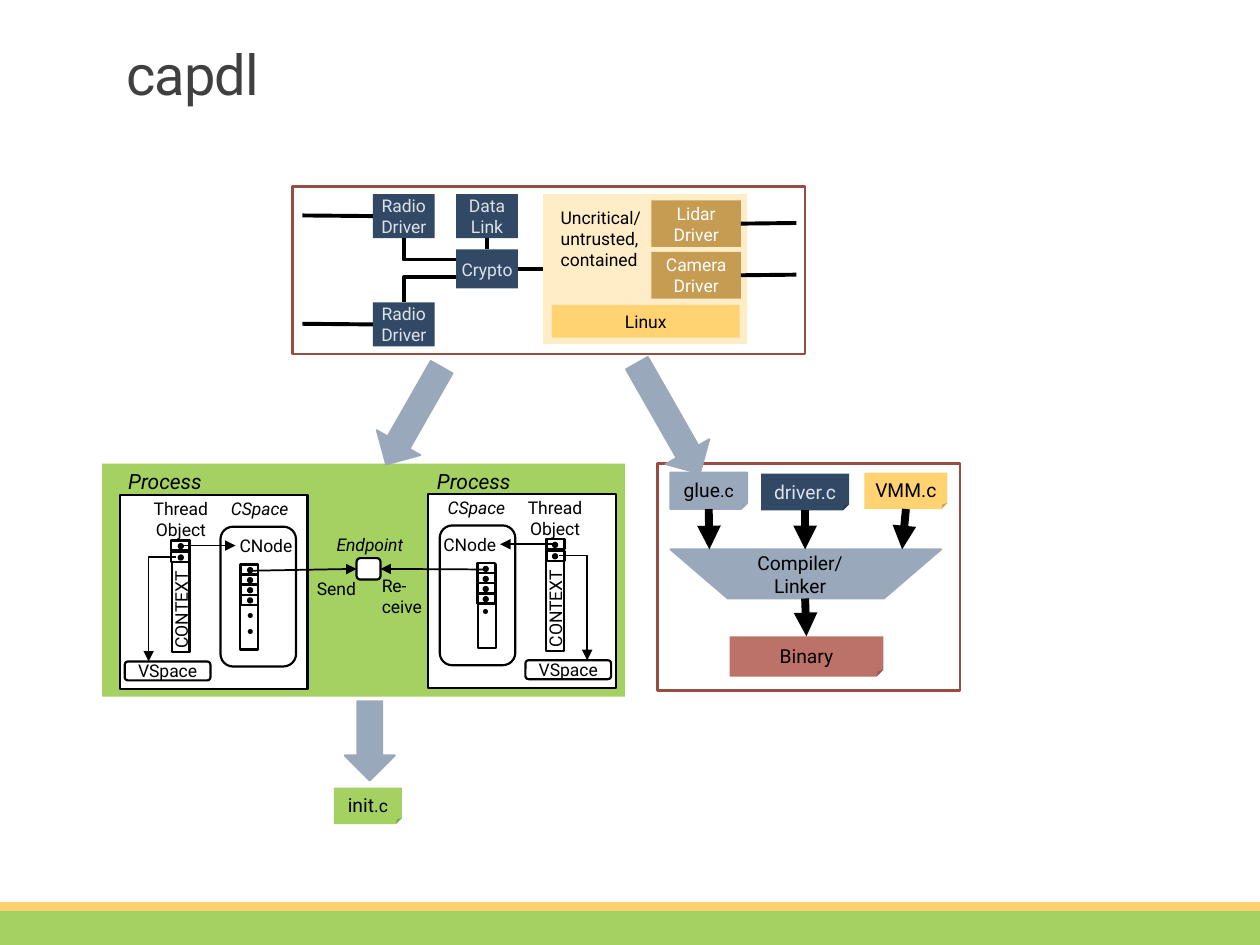
from lxml import etree
from pptx import Presentation
from pptx.dml.color import RGBColor
from pptx.enum.shapes import MSO_CONNECTOR, MSO_SHAPE
from pptx.enum.text import MSO_ANCHOR, MSO_AUTO_SIZE, PP_ALIGN
from pptx.oxml.ns import qn
from pptx.util import Inches, Pt

RECT, ROUND, NOTE = MSO_SHAPE.RECTANGLE, MSO_SHAPE.ROUNDED_RECTANGLE, MSO_SHAPE.FOLDED_CORNER
OVAL, TRAPEZOID = MSO_SHAPE.OVAL, MSO_SHAPE.TRAPEZOID
LEFT_ARROW, RIGHT_ARROW = MSO_SHAPE.LEFT_ARROW, MSO_SHAPE.RIGHT_ARROW
STRAIGHT, ELBOW = MSO_CONNECTOR.STRAIGHT, MSO_CONNECTOR.ELBOW
LEFT, CENTER, RIGHT = PP_ALIGN.LEFT, PP_ALIGN.CENTER, PP_ALIGN.RIGHT
TOP, MIDDLE = MSO_ANCHOR.TOP, MSO_ANCHOR.MIDDLE
SIDE_TOP, SIDE_LEFT, SIDE_BOTTOM, SIDE_RIGHT = range(4)
FONT = "Roboto"
MIRROR_SUM = 5.84
COLORS = {
    "black": "000000", "white": "FFFFFF", "title": "404040", "green": "A5D062",
    "bar": "FFD271", "yellow": "FFD372", "cream": "FFEDC7", "ochre": "C59C52",
    "navy": "324965", "pale": "DDE2E9", "steel": "9AA8BC", "brick": "BC7268",
    "frame": "964E43",
}
LABEL_INSETS = (0.06, 0.04, 0.06, 0.04)
NOTE_INSETS = (0, 0.04, 0, 0)
STRIP_INSETS = (0.03, 0.05, 0.1, 0.05)


def rgb(name):
    return RGBColor.from_string(COLORS[name])


def style_run(span, size, color, italic=False):
    span.font.name = FONT
    span.font.size = Pt(size)
    span.font.color.rgb = rgb(color)
    span.font.italic = italic


def put_text(box, text, size=10, color="black", align=CENTER, anchor=MIDDLE,
             insets=(0.1, 0.05, 0.1, 0.05), italic=False, wrap=True):
    frame = box.text_frame
    frame.text = text
    frame.word_wrap = wrap
    frame.vertical_anchor = anchor
    frame.margin_left, frame.margin_top, frame.margin_right, frame.margin_bottom = map(Inches, insets)
    for para in frame.paragraphs:
        para.alignment = align
        for span in para.runs:
            style_run(span, size, color, italic)


def add_box(page, kind, at, fill=None, line=None, width=1.25, rotation=0):
    box = page.shapes.add_shape(kind, *map(Inches, at))
    box.shadow.inherit = False
    box.rotation = rotation
    if fill:
        box.fill.solid()
        box.fill.fore_color.rgb = rgb(fill)
    else:
        box.fill.background()
    if line:
        box.line.color.rgb = rgb(line)
        box.line.width = Pt(width)
    else:
        box.line.fill.background()
    return box


def add_label(page, at, text, **style):
    box = page.shapes.add_textbox(*map(Inches, at))
    put_text(box, text, **{"insets": LABEL_INSETS, **style})


def add_link(page, start, end, width, arrow=False, kind=STRAIGHT, begin=None, finish=None):
    link = page.shapes.add_connector(kind, *map(Inches, (*start, *end)))
    link.line.color.rgb = rgb("black")
    link.line.width = Pt(width)
    properties = link._element.spPr
    if kind == ELBOW:
        properties.find(qn("a:prstGeom")).set("prst", "bentConnector2")
    if arrow:
        etree.SubElement(link.line._get_or_add_ln(), qn("a:tailEnd"), type="triangle")
    etree.SubElement(properties, qn("a:effectLst"))
    if begin:
        link.begin_connect(*begin)
    if finish:
        link.end_connect(*finish)


def add_component(page, at, text):
    box = add_box(page, RECT, at, "navy")
    put_text(box, text, color="pale", insets=(0.04, 0.02, 0.04, 0.02))
    return box


def add_note(page, at, text, fill, color="black", suffix="", line=None, insets=NOTE_INSETS):
    note = add_box(page, NOTE, at, fill, line, 1)
    put_text(note, text, size=11, color=color, insets=insets)
    if suffix:
        span = note.text_frame.paragraphs[0].add_run()
        span.text = suffix
        style_run(span, 10, color)
    return note


def add_block_arrow(page, kind, at, rotation):
    add_box(page, kind, at, "steel", "steel", 1, rotation)


def add_process(page, endpoint, mirrored):
    shift = -0.01 if mirrored else 0

    def point(x, y):
        return (MIRROR_SUM - x if mirrored else x), y + shift

    def place(x, y, width, height):
        return (MIRROR_SUM - x - width if mirrored else x), y + shift, width, height

    def outlined(kind, at, rotation=0):
        return add_box(page, kind, place(*at), "white", "black", rotation=rotation)

    def add_slots(x, y, count, pitch):
        for row in range(count):
            middle = y + row * pitch
            outlined(RECT, (x - 0.07, middle - 0.04, 0.14, 0.08))
            add_box(page, OVAL, place(x - 0.02, middle - 0.02, 0.05, 0.05), "black")

    outlined(RECT, (0.95, 3.93, 1.49, 1.54))
    context = outlined(RECT, (0.99, 4.66, 0.89, 0.14), 270)
    put_text(context, "CONTEXT", align=LEFT, insets=STRIP_INSETS)
    add_slots(1.43, 4.33, 2, 0.09)
    cnode = outlined(ROUND, (1.75, 4.18, 0.6, 1.11))
    put_text(cnode, "CNode", align=LEFT if mirrored else RIGHT, anchor=TOP, insets=(0, 0.04, 0, 0.05))
    strip = outlined(RECT, (1.64, 4.75, 0.67, 0.14), 90 if mirrored else 270)
    put_text(strip, "∙ ∙ ∙", align=LEFT, insets=(0.1, 0.05, 0.1, 0.05))
    add_slots(1.98, 4.52, 4, 0.08)
    vspace = outlined(ROUND, (0.99, 5.25, 0.68, 0.15))
    put_text(vspace, "VSpace", insets=(0.06, 0.05, 0.06, 0.05))
    add_link(page, point(1.4, 4.42), point(1.18, 5.25), 1, True, ELBOW)
    add_link(page, point(1.45, 4.33), point(1.87, 4.33), 1, True)
    add_label(page, place(1.14, 3.93, 0.59, 0.38), "Thread\nObject")
    add_label(page, place(1.75, 3.94, 0.62, 0.19), "CSpace", italic=True)
    add_label(page, (3.39 if mirrored else 0.94, 3.71, 0.74, 0.22), "Process", size=12, italic=True)
    add_link(page, point(1.97, 4.53), point(2.83, 4.53), 1, True,
             finish=(endpoint, SIDE_RIGHT if mirrored else SIDE_LEFT))


def add_processes(page):
    add_box(page, RECT, (0.81, 3.68, 4.15, 1.85), "green")
    endpoint = add_box(page, ROUND, (2.83, 4.43, 0.19, 0.17), "white", "black")
    add_label(page, (2.59, 4.21, 0.69, 0.22), "Endpoint", italic=True)
    add_label(page, (2.44, 4.57, 0.46, 0.2), "Send")
    add_label(page, (2.97, 4.54, 0.45, 0.38), "Re-ceive", align=LEFT)
    for mirrored in (True, False):
        add_process(page, endpoint, mirrored)


def add_build(page):
    add_box(page, RECT, (5.22, 3.68, 2.4, 1.8), None, "frame", 1.5)
    driver = add_note(page, (6.04, 3.76, 0.7, 0.29), "driver.c", "navy", "pale")
    monitor = add_note(page, (6.86, 3.75, 0.66, 0.29), "VMM.c", "yellow")
    glue = add_note(page, (5.32, 3.75, 0.61, 0.29), "glue", "steel", suffix=".c", line="steel")
    compiler = add_box(page, TRAPEZOID, (5.32, 4.36, 2.15, 0.39), "steel", "steel", 1, 180)
    compiler.adjustments[0] = 1.165
    add_label(page, (6.01, 4.37, 0.68, 0.37), "Compiler/\nLinker", size=11, insets=(0, 0, 0, 0), wrap=False)
    binary = add_note(page, (5.79, 5.05, 1.22, 0.32), "Binary", "brick", insets=(0.08, 0.08, 0.08, 0.04))
    for note, start, end in ((glue, 5.63, 5.63), (driver, 6.39, 6.39), (monitor, 7.19, 7.16)):
        add_link(page, (start, 4.04), (end, 4.36), 4.5, True, begin=(note, SIDE_BOTTOM))
    add_link(page, (6.39, 4.75), (6.4, 5.05), 4.5, True, finish=(binary, SIDE_TOP))


def add_architecture(page):
    add_box(page, RECT, (2.32, 1.48, 4.07, 1.33), None, "frame", 1.5)
    data = add_component(page, (3.62, 1.54, 0.49, 0.35), "Data\nLink")
    crypto = add_component(page, (3.62, 1.98, 0.49, 0.31), "Crypto")
    untrusted = add_box(page, RECT, (4.31, 1.54, 1.62, 1.19), "cream")
    put_text(untrusted, "Uncritical/\nuntrusted,\vcontained", align=LEFT, anchor=TOP,
             insets=(0.14, 0.1, 0.14, 0.09), wrap=False)
    add_link(page, (4.11, 2.14), (4.31, 2.14), 2.25, begin=(crypto, SIDE_RIGHT), finish=(untrusted, SIDE_LEFT))
    add_link(page, (3.86, 1.89), (3.86, 1.98), 2.25, begin=(data, SIDE_BOTTOM), finish=(crypto, SIDE_TOP))
    for top, bend, side, edge in ((1.54, 2.06, SIDE_BOTTOM, 1.89), (2.4, 2.2, SIDE_TOP, 2.4)):
        radio = add_component(page, (2.96, top, 0.49, 0.35), "Radio\nDriver")
        middle = top + 0.17
        add_link(page, (2.96, middle), (2.4, middle), 2.25, begin=(radio, SIDE_LEFT))
        add_link(page, (3.62, bend), (3.2, edge), 2.25, kind=ELBOW, finish=(radio, side))
    for top, name in ((1.59, "Lidar"), (2, "Camera")):
        driver = add_box(page, RECT, (5.17, top, 0.71, 0.37), "ochre")
        put_text(driver, f"{name}\nDriver", color="white")
        add_link(page, (5.88, top + 0.18), (6.32, top + 0.18), 2.25, begin=(driver, SIDE_RIGHT))
    put_text(add_box(page, RECT, (4.38, 2.42, 1.49, 0.26), "yellow"), "Linux")


def add_title(page, text):
    title = page.shapes.title
    title.left, title.top, title.width, title.height = map(Inches, (0.9, 0.35, 6.22, 0.55))
    put_text(title, text, size=32, color="title", align=LEFT)
    title.text_frame.auto_size = MSO_AUTO_SIZE.NONE
    para = title.text_frame.paragraphs[0]
    para.line_spacing = 0.85
    para.runs[0].font._element.set("spc", "-50")


def main():
    deck = Presentation()
    deck.slide_width, deck.slide_height = Inches(10), Inches(7.5)
    page = deck.slides.add_slide(deck.slide_layouts[5])
    add_title(page, "capdl")
    add_box(page, RECT, (0, 7.21, 10, 0.29), "green")
    add_box(page, RECT, (0, 7.16, 10, 0.07), "bar")
    add_architecture(page)
    add_processes(page)
    add_build(page)
    add_note(page, (2.65, 6.25, 0.54, 0.29), "init", "green", suffix=".c")
    add_block_arrow(page, LEFT_ARROW, (2.62, 5.68, 0.63, 0.4), 270)
    add_block_arrow(page, RIGHT_ARROW, (4.8, 3.12, 1.01, 0.4), 60.3)
    add_block_arrow(page, LEFT_ARROW, (2.84, 3.1, 0.89, 0.4), 299.7)
    deck.save("out.pptx")


if __name__ == "__main__":
    main()
